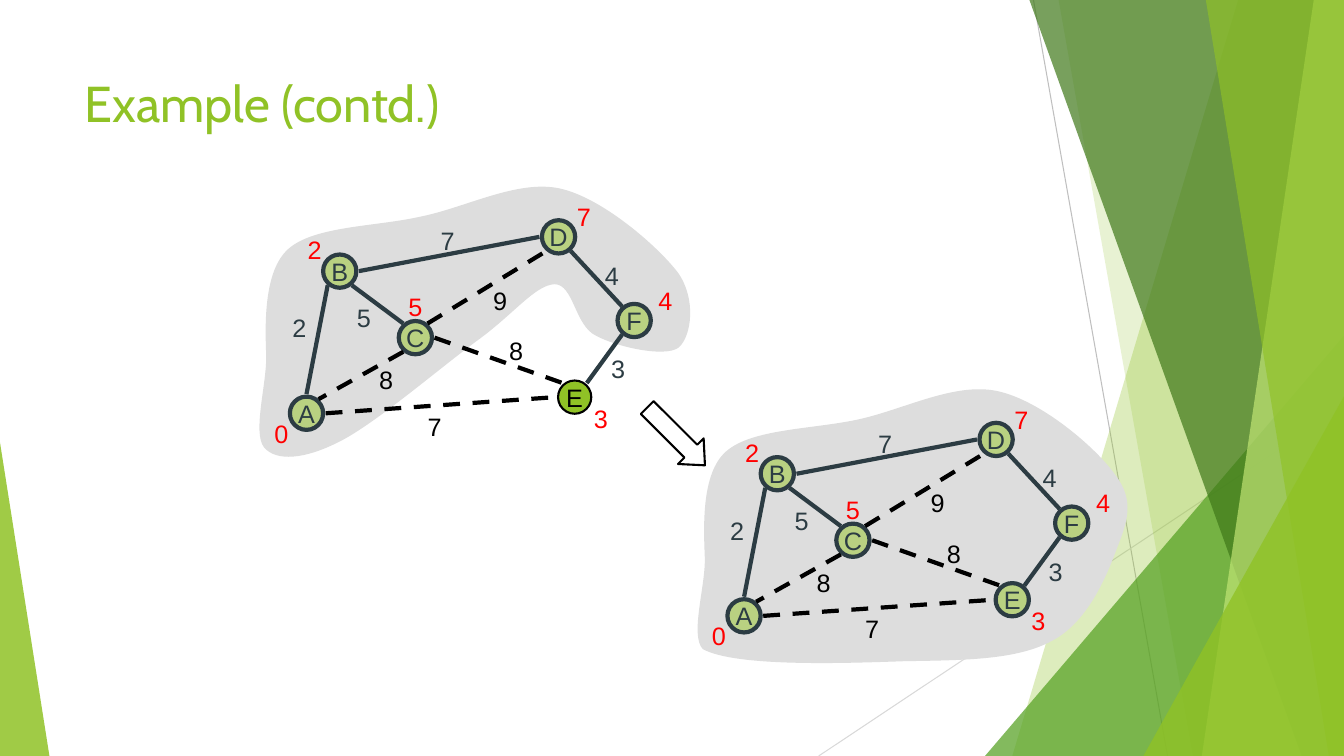
from enum import Enum
from typing import NamedTuple

import pptx
import pptx.dml.color
import pptx.enum.dml
import pptx.enum.shapes
import pptx.enum.text
import pptx.oxml.ns
import pptx.util
from lxml import etree

RGBColor = pptx.dml.color.RGBColor
LIME = RGBColor(0x90, 0xC2, 0x26)
GREEN = RGBColor(0x54, 0xA0, 0x21)
FOREST = RGBColor(0x3F, 0x78, 0x19)
PALE_LIME = RGBColor(0xC0, 0xE4, 0x74)
NODE_GREEN = RGBColor(0xB9, 0xD1, 0x81)
SLATE = RGBColor(0x2C, 0x3C, 0x43)
BLACK = RGBColor(0, 0, 0)
RED = RGBColor(0xFF, 0, 0)
CLOUD_GRAY = RGBColor(0xDD, 0xDD, 0xDD)
MID_GRAY = RGBColor(0xBF, 0xBF, 0xBF)
LIGHT_GRAY = RGBColor(0xD9, 0xD9, 0xD9)
COLUMNS, ROWS = 13.33, 7.5
NODE_SIZE = 0.33
Point = tuple[float, float]
Preset = pptx.enum.shapes.MSO_SHAPE
qn = pptx.oxml.ns.qn

presentation = pptx.Presentation()
presentation.slide_width = pptx.util.Inches(COLUMNS)
presentation.slide_height = pptx.util.Inches(ROWS)
shapes = presentation.slides.add_slide(presentation.slide_layouts[5]).shapes

class Site(Enum):
    N = (0, -0.19)
    E = (0.19, 0)
    W = (-0.19, 0)
    NE = (0.12, -0.14)
    SE = (0.12, 0.14)
    SW = (-0.12, 0.14)
    NW = (-0.12, -0.14)

class Facet(NamedTuple):
    top: float
    bottom: float
    color: RGBColor
    opacity: int

class Triangle(NamedTuple):
    left: float
    top: float
    width: float
    apex: float
    color: RGBColor
    opacity: int

class Node(NamedTuple):
    name: str
    center: Point
    distance: str
    distance_corner: Point

class Edge(NamedTuple):
    start: str
    start_site: Site
    end: str
    end_site: Site
    weight: str
    weight_corner: Point
    color: RGBColor

DECORATIONS = [
    Facet(12.28, 10.04, LIME, 30), Facet(10.5, 11.83, LIME, 20),
    Triangle(9.77, 3.33, 3.56, 1, GREEN, 72), Facet(10.21, 12.91, FOREST, 70),
    Facet(13.03, 11.92, PALE_LIME, 70), Facet(11.96, 13.18, LIME, 65),
    Triangle(11.34, 3.93, 1.99, 1, LIME, 80), Triangle(0, 4.39, 0.49, 0, LIME, 85)]
NODES = [
    Node("B", (3.37, 2.69), "2", (2.95, 2.28)), Node("D", (5.54, 2.35), "7", (5.62, 1.95)),
    Node("C", (4.12, 3.35), "5", (3.95, 2.84)), Node("A", (3.04, 4.1), "0", (2.62, 4.1)),
    Node("F", (6.29, 3.18), "4", (6.43, 2.78)), Node("E", (5.7, 3.94), "3", (5.79, 3.95))]
EDGES = [
    Edge("B", Site.SE, "C", Site.NW, "5", (3.44, 2.95), SLATE),
    Edge("C", Site.SW, "A", Site.NE, "8", (3.66, 3.57), BLACK),
    Edge("B", Site.SW, "A", Site.N, "2", (2.8, 3.05), SLATE),
    Edge("C", Site.E, "E", Site.NW, "8", (4.95, 3.28), BLACK),
    Edge("A", Site.E, "E", Site.W, "7", (4.14, 4.03), BLACK),
    Edge("B", Site.E, "D", Site.W, "7", (4.27, 2.19), SLATE),
    Edge("C", Site.NE, "D", Site.SW, "9", (4.79, 2.78), BLACK),
    Edge("F", Site.NW, "D", Site.SE, "4", (5.9, 2.53), SLATE),
    Edge("E", Site.NE, "F", Site.SW, "3", (5.96, 3.46), SLATE)]
CLOUD_WITHOUT_E = [
    (2.64, 3.52), (2.65, 3.8), (2.5, 4.29), (2.62, 4.44), (2.74, 4.58), (3.02, 4.56), (3.37, 4.38),
    (3.73, 4.2), (4.4, 3.62), (4.76, 3.36), (5.11, 3.1), (5.31, 2.83), (5.5, 2.82),
    (5.69, 2.82), (5.7, 3.23), (5.91, 3.33), (6.11, 3.44), (6.59, 3.55), (6.73, 3.45),
    (6.86, 3.34), (6.91, 2.96), (6.72, 2.7), (6.52, 2.44), (5.97, 1.96), (5.55, 1.87),
    (5.13, 1.78), (4.62, 2.06), (4.17, 2.15), (3.73, 2.25), (3.12, 2.24), (2.86, 2.47),
    (2.61, 2.69), (2.63, 3.24), (2.64, 3.52)]
CLOUD_WITH_E = [
    (6.99, 5.53), (7, 5.81), (6.84, 6.3), (6.97, 6.44), (7.3, 6.62), (8.39, 6.58), (8.97, 6.56),
    (9.55, 6.55), (10.08, 6.55), (10.43, 6.36), (10.78, 6.18), (10.97, 5.73), (11.07, 5.46),
    (11.18, 5.18), (11.26, 4.97), (11.06, 4.71), (10.87, 4.44), (10.32, 3.97), (9.89, 3.88),
    (9.47, 3.79), (8.97, 4.06), (8.52, 4.16), (8.07, 4.26), (7.46, 4.25), (7.2, 4.48),
    (6.95, 4.7), (6.98, 5.25), (6.99, 5.53)]

def place(x: float, y: float) -> tuple[int, int]:
    return round(presentation.slide_width * x / COLUMNS), round(presentation.slide_height * y / ROWS)

def shifted(point: Point, offset: Point) -> Point:
    return point[0] + offset[0], point[1] + offset[1]

def paint(shape, color: RGBColor, opacity: int = 100) -> None:
    shape.shadow.inherit = False
    shape.line.fill.background()
    shape.fill.solid()
    shape.fill.fore_color.rgb = color
    if opacity < 100:
        color_element = next(shape._element.spPr.iter(qn("a:srgbClr")))
        etree.SubElement(color_element, qn("a:alpha")).set("val", str(opacity * 1000))

def add_outline(points: list[Point]):
    builder = shapes.build_freeform(*place(*points[0]))
    builder.add_line_segments([place(*point) for point in points[1:]], close=True)
    return builder.convert_to_shape()

def draw_cloud(knots: list[Point]) -> None:
    cloud = add_outline(knots)
    segments = list(cloud._element.iter(qn("a:lnTo")))
    for first in range(0, len(segments), 3):
        curve = etree.Element(qn("a:cubicBezTo"))
        segments[first].addprevious(curve)
        for segment in segments[first:first + 3]:
            curve.append(segment[0])
            segment.getparent().remove(segment)
    paint(cloud, CLOUD_GRAY)

def draw_decoration(decoration: Facet | Triangle) -> None:
    if isinstance(decoration, Facet):
        shape = add_outline([(decoration.top, 0), (COLUMNS, 0), (COLUMNS, ROWS), (decoration.bottom, ROWS)])
    else:
        shape = shapes.add_shape(Preset.ISOSCELES_TRIANGLE, *place(decoration.left, decoration.top),
                                 *place(decoration.width, ROWS - decoration.top))
        shape.adjustments[0] = decoration.apex
    paint(shape, decoration.color, decoration.opacity)

def draw_line(start: Point, end: Point, color: RGBColor, width: float) -> None:
    connector = shapes.add_connector(pptx.enum.shapes.MSO_CONNECTOR.STRAIGHT, *place(*start), *place(*end))
    connector.line.color.rgb, connector.line.width = color, pptx.util.Pt(width)
    if color == BLACK:
        connector.line.dash_style = pptx.enum.dml.MSO_LINE.DASH
    etree.SubElement(connector._element.spPr, qn("a:effectLst"))

def write(shape, text: str, color: RGBColor, size: int = 18, font_name: str = "Arial") -> None:
    shape.text_frame.text = text
    font = shape.text_frame.paragraphs[0].runs[0].font
    font.name, font.size, font.color.rgb = font_name, pptx.util.Pt(size), color

def center_text(shape) -> None:
    shape.text_frame.word_wrap = False
    shape.text_frame.paragraphs[0].alignment = pptx.enum.text.PP_ALIGN.CENTER

def draw_label(corner: Point, text: str, color: RGBColor) -> None:
    label = shapes.add_textbox(*place(*corner), *place(0.34, 0.4))
    write(label, text, color)
    center_text(label)
    label.text_frame.auto_size = pptx.enum.text.MSO_AUTO_SIZE.SHAPE_TO_FIT_TEXT

def draw_node(name: str, center: Point, pending: bool) -> None:
    corner = shifted(center, (-NODE_SIZE / 2, -NODE_SIZE / 2))
    circle = shapes.add_shape(Preset.OVAL, *place(*corner), *place(NODE_SIZE, NODE_SIZE))
    paint(circle, LIME if pending else NODE_GREEN)
    circle.line.color.rgb = BLACK if pending else SLATE
    circle.line.width = pptx.util.Pt(1.5 if pending else 3)
    write(circle, name, BLACK if pending else SLATE)
    center_text(circle)
    circle.text_frame.vertical_anchor = pptx.enum.text.MSO_ANCHOR.MIDDLE

def draw_graph(cloud: list[Point], offset: Point, pending: str) -> None:
    draw_cloud(cloud)
    centers = {node.name: shifted(node.center, offset) for node in NODES}
    for name, center in centers.items():
        draw_node(name, center, name == pending)
    for edge in EDGES:
        draw_line(shifted(centers[edge.start], edge.start_site.value),
                  shifted(centers[edge.end], edge.end_site.value), edge.color, 3)
    for edge in EDGES:
        draw_label(shifted(edge.weight_corner, offset), edge.weight, edge.color)
    for node in NODES:
        draw_label(shifted(node.distance_corner, offset), node.distance, RED)

draw_line((10.25, 0), (11.58, ROWS), MID_GRAY, 0.75)
draw_line((COLUMNS, 4.03), (8.12, ROWS), LIGHT_GRAY, 0.75)
for decoration in DECORATIONS:
    draw_decoration(decoration)
title = shapes.title
(title.left, title.top), (title.width, title.height) = place(0.74, 0.67), place(9.4, 1.44)
write(title, "Example (contd.)", LIME, 36, "Cabin")
title.text_frame.vertical_anchor = pptx.enum.text.MSO_ANCHOR.TOP
title.text_frame.paragraphs[0].alignment = pptx.enum.text.PP_ALIGN.LEFT
draw_graph(CLOUD_WITHOUT_E, (0, 0), "E")
draw_graph(CLOUD_WITH_E, (4.34, 2.01), "")
arrow = shapes.add_shape(Preset.RIGHT_ARROW, *place(6.3, 4.15), *place(0.81, 0.36))
arrow.adjustments[1] = 0.55
arrow.rotation = 45
arrow.shadow.inherit = False
arrow.fill.background()
arrow.line.color.rgb, arrow.line.width = BLACK, pptx.util.Pt(1.5)
presentation.save("out.pptx")
